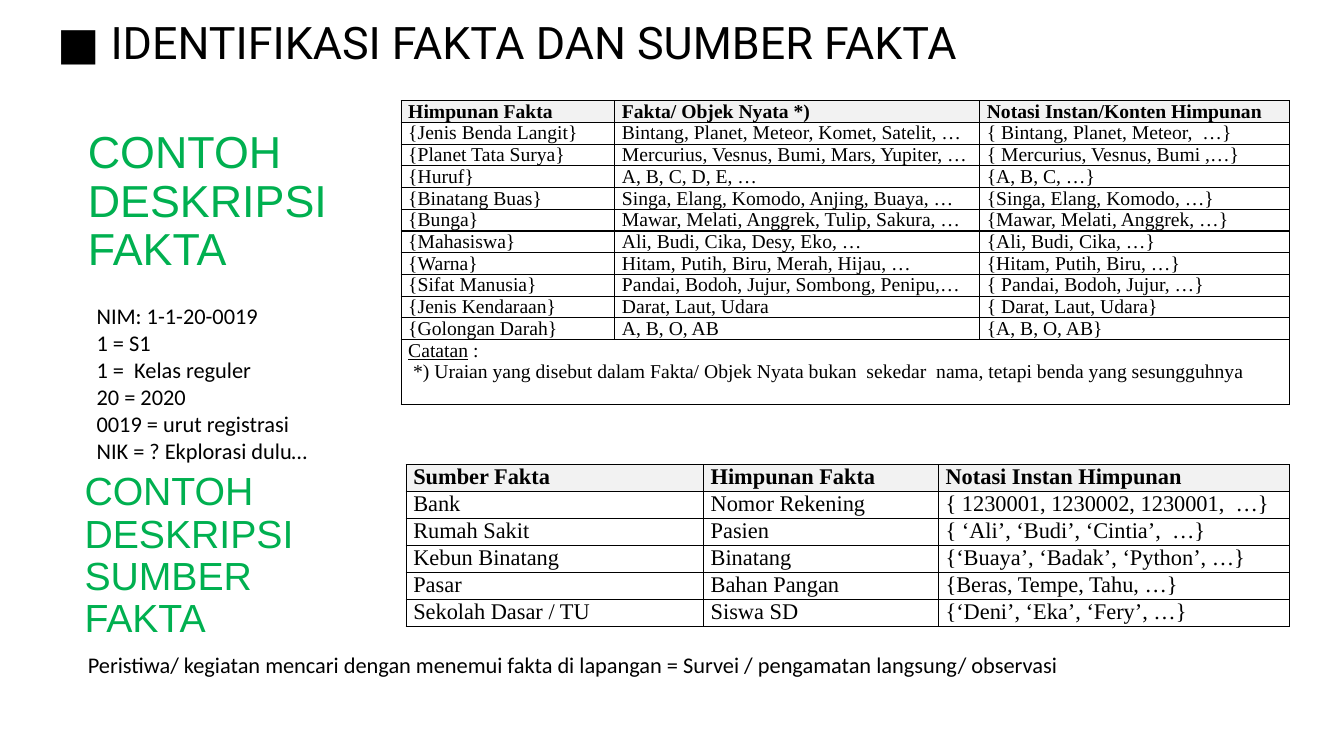
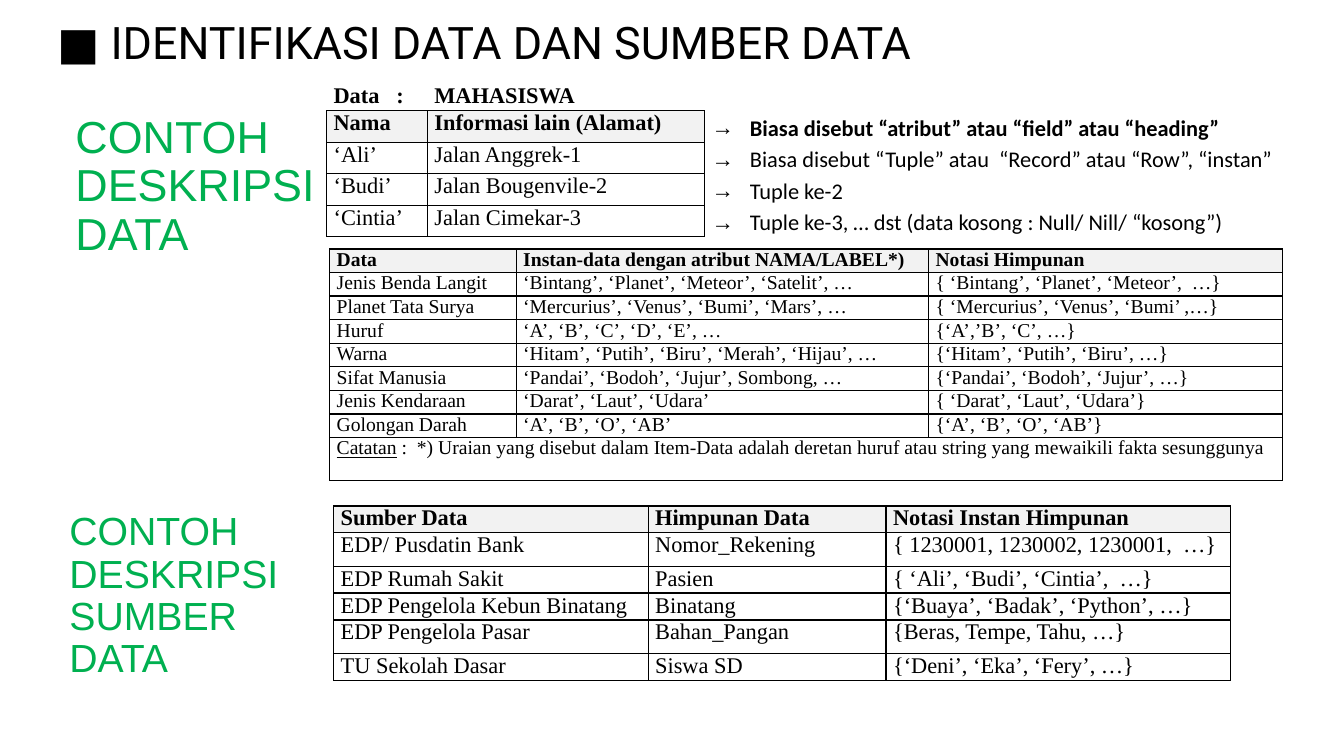
from lxml import etree
from pptx import Presentation
from pptx.dml import color
from pptx.enum import text
from pptx.oxml import ns
from pptx.util import Inches, Pt

COLORS = {"ink": "000000", "heading": "00B050", "shade": "F2F2F2", "paper": "FFFFFF"}
SERIF = "Times New Roman"
STYLES = {
    "title": {"name": "Roboto", "size": Pt(32), "color": "ink"},
    "heading": {"name": "Arial", "size": Pt(32), "color": "heading"},
    "subheading": {"name": "Arial", "size": Pt(28), "color": "heading"},
    "body": {"name": "Calibri", "size": Pt(16), "color": "ink"},
    "cell": {"name": SERIF, "size": Pt(16), "color": "ink"},
    "small": {"name": SERIF, "size": Pt(14), "color": "ink"},
}
ROW = {"cell": 3.28, "small": 2.87}  # one-line row heights, % of slide height


def add_xml(parent, tag, **attrs):
    return etree.SubElement(parent, ns.qn(tag), attrs)


class Deck:
    """Shared style and the current slide; lengths are % of the slide size."""

    def __init__(self):
        self.prs = Presentation()
        self.prs.slide_width, self.prs.slide_height = Inches(13.33), Inches(7.5)
        self.s = None

    def x(self, share):
        return int(self.prs.slide_width * share / 100)

    def y(self, share):
        return int(self.prs.slide_height * share / 100)

    def box(self, left, top, width, height):
        return self.x(left), self.y(top), self.x(width), self.y(height)

    def set_frame(self, tf, **values):
        for key, value in values.items():
            setattr(tf, key, value)

    def run(self, p, words, style, **extra):
        r = p.add_run()
        r.text = words
        for key, value in {**STYLES[style], **extra}.items():
            if key == "color":
                r.font.color.rgb = color.RGBColor.from_string(COLORS[value])
            else:
                setattr(r.font, key, value)

    def lines(self, tf, lines, style, spacing=None):
        for i, line in enumerate(lines):
            p = tf.add_paragraph() if i else tf.paragraphs[0]
            p.alignment = text.PP_ALIGN.LEFT
            p.line_spacing = spacing
            self.run(p, line, style)

    # Slide with its title
    def slide(self, title):
        self.s = self.prs.slides.add_slide(self.prs.slide_layouts[5])
        sp = self.s.shapes.title
        sp.left, sp.top, sp.width, sp.height = self.box(3.5, 2, 92.25, 7.2)
        self.set_frame(sp.text_frame, word_wrap=True, auto_size=text.MSO_AUTO_SIZE.NONE,
                       vertical_anchor=text.MSO_ANCHOR.BOTTOM, margin_left=Inches(0.1),
                       margin_right=Inches(0.1), margin_top=Inches(0.05), margin_bottom=0)
        self.lines(sp.text_frame, ["■ " + title], "title", 0.9)

    # Green side heading
    def heading(self, place, lines, style="heading"):
        tf = self.s.shapes.add_textbox(*self.box(*place)).text_frame
        tf.word_wrap = True
        self.lines(tf, lines, style, 0.9)

    # Plain text block
    def body(self, place, lines):
        tf = self.s.shapes.add_textbox(*self.box(*place)).text_frame
        self.set_frame(tf, word_wrap=True, margin_left=Inches(0.1), margin_right=0,
                       margin_top=0, margin_bottom=0)
        self.lines(tf, lines, "body")

    # Table cell: borders, fill, margins
    def format_cell(self, cell, sides, fill):
        tc_pr = cell._tc.get_or_add_tcPr()
        for side in "LRTB":
            ln = add_xml(tc_pr, "a:ln" + side, w=str(Pt(1)))
            if side in sides:
                add_xml(add_xml(ln, "a:solidFill"), "a:srgbClr", val=COLORS["ink"])
            else:
                add_xml(ln, "a:noFill")
        cell.fill.solid()
        cell.fill.fore_color.rgb = color.RGBColor.from_string(COLORS[fill])
        self.set_frame(cell, margin_left=Inches(0.07), margin_right=Inches(0.07),
                       margin_top=0, margin_bottom=0)

    def arrow_bullet(self, p):
        p.line_spacing = 1.15
        p_pr = p._p.get_or_add_pPr()
        p_pr.set("marL", str(Inches(0.38)))
        p_pr.set("indent", str(-Inches(0.38)))
        add_xml(p_pr, "a:buFont", typeface=SERIF)
        add_xml(p_pr, "a:buChar", char="→")

    def note(self, cell, words):
        """Underlined label, then the rest of the note, one paragraph a line."""
        for i, line in enumerate(words):
            p = cell.text_frame.add_paragraph() if i else cell.text_frame.paragraphs[0]
            p.alignment = text.PP_ALIGN.JUSTIFY
            if i == 0:
                self.run(p, "Catatan", "small", underline=True)
            self.run(p, line, "small")

    def table(self, left, top, cols, rows, style="cell", heights=None, head=0,
              sides=lambda r, c: "LRTB", arrows=None, note=None, note_height=0):
        """heights maps a row number to a height other than one line."""
        sizes = [(heights or {}).get(r, ROW[style]) for r in range(len(rows))]
        if note:
            sizes.append(note_height)
        frame = self.s.shapes.add_table(len(sizes), len(cols),
                                        *self.box(left, top, sum(cols), sum(sizes)))
        tbl = frame.table
        tbl.first_row = tbl.horz_banding = False
        for col, width in zip(tbl.columns, cols):
            col.width = self.x(width)
        for row, height in zip(tbl.rows, sizes):
            row.height = self.y(height)
        for r, row in enumerate(rows):
            for c, words in enumerate(row):
                cell = tbl.cell(r, c)
                shaded = r == head and c != arrows
                self.format_cell(cell, sides(r, c), "shade" if shaded else "paper")
                p = cell.text_frame.paragraphs[0]
                if not words:
                    add_xml(p._p, "a:endParaRPr", sz=str(int(STYLES[style]["size"].pt * 100)))
                elif c == arrows:
                    self.arrow_bullet(p)
                    self.run(p, words, "body", bold=r <= head)
                else:
                    p.alignment = text.PP_ALIGN.JUSTIFY
                    self.run(p, words, style, bold=r <= head)
        if note:
            last = len(rows)
            for c in range(len(cols)):
                self.format_cell(tbl.cell(last, c), "LRTB", "paper")
            tbl.cell(last, 0).merge(tbl.cell(last, len(cols) - 1))
            self.note(tbl.cell(last, 0), note)


def student_sides(r, c):
    """Caption row and arrow column stay open around the boxed grid."""
    if r == 0:
        return "B" if c < 2 else ""
    return "LRTB" if c < 2 else "L"


def facts(deck):
    deck.slide("IDENTIFIKASI FAKTA DAN SUMBER FAKTA")
    # Fact sets
    deck.table(29.85, 13.33, [15.9, 27.15, 23.03], [
        ("Himpunan Fakta", "Fakta/ Objek Nyata *)", "Notasi Instan/Konten Himpunan"),
        ("{Jenis Benda Langit}", "Bintang, Planet, Meteor, Komet, Satelit, …",
         "{ Bintang, Planet, Meteor,  …}"),
        ("{Planet Tata Surya}", "Mercurius, Vesnus, Bumi, Mars, Yupiter, …",
         "{ Mercurius, Vesnus, Bumi ,…}"),
        ("{Huruf}", "A, B, C, D, E, …", "{A, B, C, …}"),
        ("{Binatang Buas}", "Singa, Elang, Komodo, Anjing, Buaya, …",
         "{Singa, Elang, Komodo, …}"),
        ("{Bunga}", "Mawar, Melati, Anggrek, Tulip, Sakura, …",
         "{Mawar, Melati, Anggrek, …}"),
        ("{Mahasiswa}", "Ali, Budi, Cika, Desy, Eko, …", "{Ali, Budi, Cika, …}"),
        ("{Warna}", "Hitam, Putih, Biru, Merah, Hijau, …", "{Hitam, Putih, Biru, …}"),
        ("{Sifat Manusia}", "Pandai, Bodoh, Jujur, Sombong, Penipu,…",
         "{ Pandai, Bodoh, Jujur, …}"),
        ("{Jenis Kendaraan}", "Darat, Laut, Udara", "{ Darat, Laut, Udara}"),
        ("{Golongan Darah}", "A, B, O, AB", "{A, B, O, AB}"),
    ], "small", note_height=8.6, note=[
        " : ",
        " *) Uraian yang disebut dalam Fakta/ Objek Nyata bukan  sekedar  nama, "
        "tetapi benda yang sesungguhnya"])
    deck.heading((5.8, 16.55, 22.95, 21.7), ["CONTOH DESKRIPSI", "FAKTA"])
    # Fact sources
    deck.table(30.23, 61.47, [22.13, 17.48, 26.1], [
        ("Sumber Fakta", "Himpunan Fakta", "Notasi Instan Himpunan"),
        ("Bank", "Nomor Rekening", "{ 1230001, 1230002, 1230001,  …}"),
        ("Rumah Sakit", "Pasien", "{ ‘Ali’, ‘Budi’, ‘Cintia’,  …}"),
        ("Kebun Binatang", "Binatang", "{‘Buaya’, ‘Badak’, ‘Python’, …}"),
        ("Pasar", "Bahan Pangan", "{Beras, Tempe, Tahu, …}"),
        ("Sekolah Dasar / TU", "Siswa SD", "{‘Deni’, ‘Eka’, ‘Fery’, …}"),
    ])
    deck.heading((5.55, 61.75, 23.2, 22), ["CONTOH", "DESKRIPSI", "SUMBER FAKTA"],
                 "subheading")
    # Remarks
    deck.body((5.8, 86.13, 86.85, 3.6), [
        "Peristiwa/ kegiatan mencari dengan menemui fakta di lapangan = "
        "Survei / pengamatan langsung/ observasi"])
    deck.body((6.45, 40, 23.3, 21.6), [
        "NIM: 1-1-20-0019", "1 = S1", "1 =  Kelas reguler", "20 = 2020",
        "0019 = urut registrasi", "NIK = ? Ekplorasi dulu…"])


def data(deck):
    deck.slide("IDENTIFIKASI DATA DAN SUMBER DATA")
    deck.heading((4.88, 14.53, 22.95, 21.7), ["CONTOH DESKRIPSI", "DATA"])
    # Student records with their terms
    deck.table(24.3, 11.07, [7.5, 20.63, 43.2], [
        ("Data   :", "MAHASISWA", ""),
        ("Nama", "Informasi lain (Alamat)",
         "Biasa disebut “atribut” atau “field” atau “heading”"),
        ("‘Ali’", "Jalan Anggrek-1",
         "Biasa disebut “Tuple” atau  “Record” atau “Row”, “instan”"),
        ("‘Budi’", "Jalan Bougenvile-2", "Tuple ke-2"),
        ("‘Cintia’", "Jalan Cimekar-3",
         "Tuple ke-3, … dst (data kosong : Null/ Nill/ “kosong”)"),
    ], heights=dict.fromkeys(range(1, 5), 4.17), head=1, sides=student_sides, arrows=2)
    # Data sets
    deck.table(24.53, 32.93, [13.88, 30.68, 26.33], [
        ("Data", "Instan-data dengan atribut NAMA/LABEL*)", "Notasi Himpunan"),
        ("Jenis Benda Langit", "‘Bintang’, ‘Planet’, ‘Meteor’, ‘Satelit’, …",
         "{ ‘Bintang’, ‘Planet’, ‘Meteor’,  …}"),
        ("Planet Tata Surya", "‘Mercurius’, ‘Venus’, ‘Bumi’, ‘Mars’, …",
         "{ ‘Mercurius’, ‘Venus’, ‘Bumi’ ,…}"),
        ("Huruf", "‘A’, ‘B’, ‘C’, ‘D’, ‘E’, …", "{‘A’,’B’, ‘C’, …}"),
        ("Warna", "‘Hitam’, ‘Putih’, ‘Biru’, ‘Merah’, ‘Hijau’, …",
         "{‘Hitam’, ‘Putih’, ‘Biru’, …}"),
        ("Sifat Manusia", "‘Pandai’, ‘Bodoh’, ‘Jujur’, Sombong, …",
         "{‘Pandai’, ‘Bodoh’, ‘Jujur’, …}"),
        ("Jenis Kendaraan", "‘Darat’, ‘Laut’, ‘Udara’", "{ ‘Darat’, ‘Laut’, ‘Udara’}"),
        ("Golongan Darah", "‘A’, ‘B’, ‘O’, ‘AB’", "{‘A’, ‘B’, ‘O’, ‘AB’}"),
    ], "small", note_height=5.73, note=[
        " :  *) Uraian yang disebut dalam Item-Data adalah deretan huruf atau string "
        "yang mewaikili fakta sesunggunya"])
    # Data sources
    deck.table(24.83, 66.93, [23.4, 17.7, 25.65], [
        ("Sumber Data", "Himpunan Data", "Notasi Instan Himpunan"),
        ("EDP/ Pusdatin Bank", "Nomor_Rekening", "{ 1230001, 1230002, 1230001,  …}"),
        ("EDP Rumah Sakit", "Pasien", "{ ‘Ali’, ‘Budi’, ‘Cintia’,  …}"),
        ("EDP Pengelola Kebun Binatang", "Binatang", "{‘Buaya’, ‘Badak’, ‘Python’, …}"),
        ("EDP Pengelola Pasar", "Bahan_Pangan", "{Beras, Tempe, Tahu, …}"),
        ("TU Sekolah Dasar", "Siswa SD", "{‘Deni’, ‘Eka’, ‘Fery’, …}"),
    ], heights={1: 4.4, 4: 4.4})
    deck.heading((4.43, 67.07, 19.8, 19.07), ["CONTOH", "DESKRIPSI", "SUMBER DATA"],
                 "subheading")


def main():
    deck = Deck()
    facts(deck)
    data(deck)
    deck.prs.save("out.pptx")


if __name__ == "__main__":
    main()
